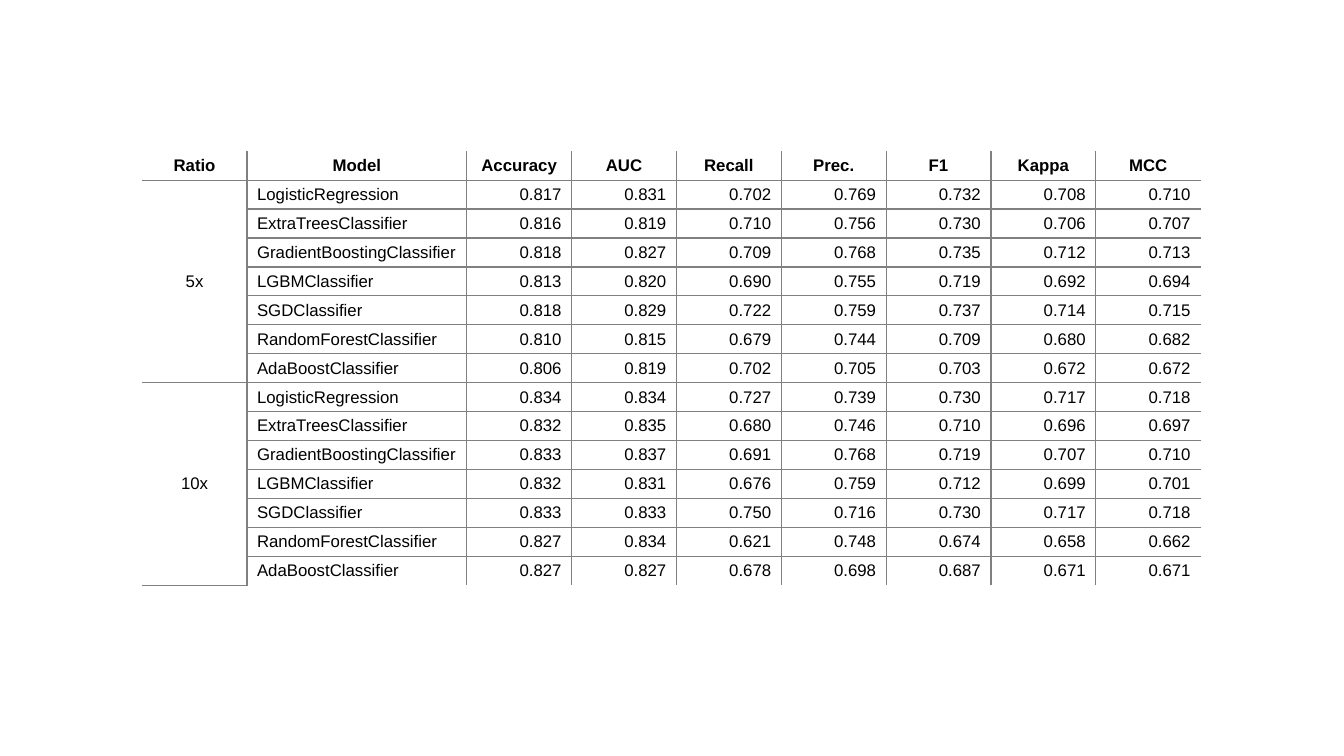
from lxml import etree
from pptx import Presentation
from pptx import util as u
from pptx.dml.color import RGBColor
from pptx.enum import text
from pptx.oxml.ns import qn

HEADERS = ["Ratio", "Model", "Accuracy", "AUC", "Recall", "Prec.", "F1", "Kappa", "MCC"]
MODELS = ["LogisticRegression", "ExtraTreesClassifier", "GradientBoostingClassifier",
          "LGBMClassifier", "SGDClassifier", "RandomForestClassifier", "AdaBoostClassifier"]
SCORES = {
    "5x": ["0.817 0.831 0.702 0.769 0.732 0.708 0.710",
           "0.816 0.819 0.710 0.756 0.730 0.706 0.707",
           "0.818 0.827 0.709 0.768 0.735 0.712 0.713",
           "0.813 0.820 0.690 0.755 0.719 0.692 0.694",
           "0.818 0.829 0.722 0.759 0.737 0.714 0.715",
           "0.810 0.815 0.679 0.744 0.709 0.680 0.682",
           "0.806 0.819 0.702 0.705 0.703 0.672 0.672"],
    "10x": ["0.834 0.834 0.727 0.739 0.730 0.717 0.718",
            "0.832 0.835 0.680 0.746 0.710 0.696 0.697",
            "0.833 0.837 0.691 0.768 0.719 0.707 0.710",
            "0.832 0.831 0.676 0.759 0.712 0.699 0.701",
            "0.833 0.833 0.750 0.716 0.730 0.717 0.718",
            "0.827 0.834 0.621 0.748 0.674 0.658 0.662",
            "0.827 0.827 0.678 0.698 0.687 0.671 0.671"],
}
MODEL_COL_WIDTH, COL_WIDTH, ROW_HEIGHT = 2.18, 1.04, 0.25
GRID, INK = "808080", "000000"


def color(value):
    return RGBColor.from_string(value)


def set_borders(cell, drawn):
    """Draw the sides named in drawn (of L, R, T, B) and clear the others."""
    tcPr = cell._tc.get_or_add_tcPr()
    for side in "LRTB":
        ln = etree.SubElement(tcPr, qn(f"a:ln{side}"), w=str(u.Pt(1)))
        if side in drawn:
            fill = etree.SubElement(ln, qn("a:solidFill"))
            etree.SubElement(fill, qn("a:srgbClr"), val=GRID)
        else:
            etree.SubElement(ln, qn("a:noFill"))


def fill_cell(cell, label, align, bold, borders):
    set_borders(cell, borders)
    cell.fill.background()
    cell.vertical_anchor = text.MSO_ANCHOR.MIDDLE
    cell.text = label
    p = cell.text_frame.paragraphs[0]
    p.alignment = align
    p.font.name, p.font.size, p.font.bold = "Arial", u.Pt(12), bold
    p.font.color.rgb = color(INK)


def table_rows():
    """Header, then one row per ratio and model, the ratio only on its first row."""
    rows = [HEADERS]
    for ratio, scores in SCORES.items():
        for i, (model, line) in enumerate(zip(MODELS, scores)):
            rows.append([ratio if i == 0 else "", model, *line.split()])
    return rows


def add_score_table(s, left, top, width, height):
    rows = table_rows()
    last_row, last_col = len(rows) - 1, len(HEADERS) - 1
    frame = s.shapes.add_table(len(rows), len(HEADERS), u.Inches(left), u.Inches(top),
                               u.Inches(width), u.Inches(height))
    table = frame.table
    table.first_row = table.horz_banding = False
    for c, column in enumerate(table.columns):
        column.width = u.Inches(MODEL_COL_WIDTH if c == 1 else COL_WIDTH)
    for row in table.rows:
        row.height = u.Inches(ROW_HEIGHT)
    frame.height = u.Inches(height)

    center, left_align, right = text.PP_ALIGN.CENTER, text.PP_ALIGN.LEFT, text.PP_ALIGN.RIGHT
    for r, labels in enumerate(rows):
        for c, label in enumerate(labels):
            inner = {"L": c > 0, "R": c < last_col, "T": r > 0, "B": r < last_row}
            borders = [side for side, shown in inner.items() if shown]
            align = center if r == 0 or c == 0 else left_align if c == 1 else right
            fill_cell(table.cell(r, c), label, align, r == 0, borders)
    for first in range(1, len(rows), len(MODELS)):
        table.cell(first, 0).merge(table.cell(first + len(MODELS) - 1, 0))


def main():
    prs = Presentation()
    prs.slide_width, prs.slide_height = u.Inches(13.33), u.Inches(7.5)
    s = prs.slides.add_slide(prs.slide_layouts[6])
    add_score_table(s, 1.41, 1.5, 10.51, 4.5)
    prs.save("out.pptx")


if __name__ == "__main__":
    main()
